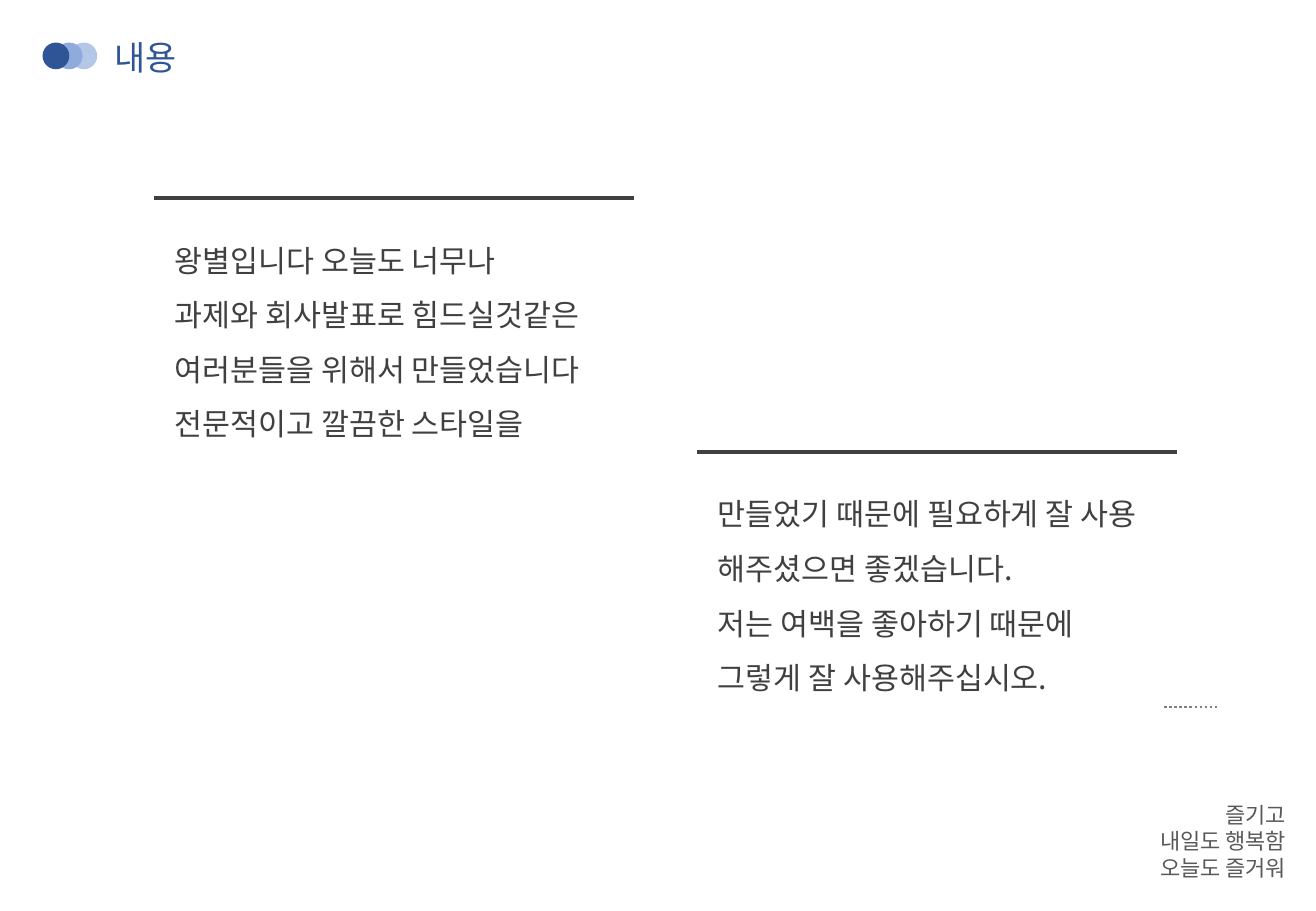
import pptx
import pptx.util
from pptx.dml.color import RGBColor
from pptx.enum.dml import MSO_LINE
from pptx.enum.shapes import MSO_CONNECTOR, MSO_SHAPE
from pptx.enum.text import MSO_ANCHOR, MSO_AUTO_SIZE, PP_ALIGN
from pptx.oxml.ns import qn

NAVY = RGBColor(0x2F, 0x55, 0x97)
BLUE = RGBColor(0x8F, 0xAA, 0xDC)
PALE = RGBColor(0xB4, 0xC7, 0xE7)
DARK = RGBColor(0x40, 0x40, 0x40)
MID = RGBColor(0x59, 0x59, 0x59)
GRAY = RGBColor(0x80, 0x80, 0x80)
FONT = "Noto Sans CJK KR"

TITLE = "내용"
CLOSING = ["즐기고", "내일도 행복함", "오늘도 즐거워"]
# left, top of the rule, lines below it
SECTIONS = [
    (127, 163, ["왕별입니다 오늘도 너무나",
                "과제와 회사발표로 힘드실것같은",
                "여러분들을 위해서 만들었습니다",
                "전문적이고 깔끔한 스타일을"]),
    (574, 372, ["만들었기 때문에 필요하게 잘 사용",
                "해주셨으면 좋겠습니다.",
                "저는 여백을 좋아하기 때문에",
                "그렇게 잘 사용해주십시오."]),
]
DOTS = [(58, PALE), (46, BLUE), (35, NAVY)]
DOT_TOP, DOT_SIZE = 35, 22
RULE_WIDTH = 395
TEXT_DX, TEXT_DY = 7, 16


def px(n):
    """Convert px, 100 to the inch, to EMU."""
    return pptx.util.Emu(n * 9144)


def fill_text(sp, lines, size, color, align=PP_ALIGN.LEFT, spacing=1.0):
    tf = sp.text_frame
    frame_format = {"word_wrap": True, "auto_size": MSO_AUTO_SIZE.SHAPE_TO_FIT_TEXT,
                    "vertical_anchor": MSO_ANCHOR.TOP}
    for name, value in frame_format.items():
        setattr(tf, name, value)
    for i, line in enumerate(lines):
        p = tf.add_paragraph() if i else tf.paragraphs[0]
        p.alignment, p.line_spacing = align, spacing
        r = p.add_run()
        r.text = line
        r.font.size, r.font.name = pptx.util.Pt(size), FONT
        r.font.color.rgb = color
        ea = r.font._element.makeelement(qn("a:ea"), {"typeface": FONT})
        r.font._element.find(qn("a:latin")).addnext(ea)


def add_rule(slide, left, top, width, color, weight):
    line = slide.shapes.add_connector(
        MSO_CONNECTOR.STRAIGHT, px(left), px(top), px(left + width), px(top))
    line.line.color.rgb = color
    line.line.width = pptx.util.Pt(weight)
    sp_pr = line._element.spPr
    sp_pr.append(sp_pr.makeelement(qn("a:effectLst"), {}))
    return line


def main():
    prs = pptx.Presentation()
    prs.slide_width, prs.slide_height = px(1083), px(750)
    slide = prs.slides.add_slide(prs.slide_layouts[5])

    for left, color in DOTS:
        sp = slide.shapes.add_shape(
            MSO_SHAPE.OVAL, px(left), px(DOT_TOP), px(DOT_SIZE), px(DOT_SIZE))
        sp.shadow.inherit = False
        sp.fill.solid()
        sp.fill.fore_color.rgb = color
        sp.line.fill.background()

    title = slide.shapes.title
    title_box = {"left": 84, "top": 25, "width": 524, "height": 44}
    for name, value in title_box.items():
        setattr(title, name, px(value))
    fill_text(title, [TITLE], 20, NAVY)

    closing = slide.shapes.add_textbox(px(910), px(655), px(158), px(76))
    fill_text(closing, CLOSING, 13, MID, PP_ALIGN.RIGHT)
    dotted = add_rule(slide, 958, 582, 44, GRAY, 1.5)
    dotted.line.dash_style = MSO_LINE.ROUND_DOT

    for left, top, lines in SECTIONS:
        add_rule(slide, left, top, RULE_WIDTH, DARK, 2.25)
        body = slide.shapes.add_textbox(
            px(left + TEXT_DX), px(top + TEXT_DY), px(396), px(192))
        fill_text(body, lines, 18, DARK, spacing=1.5)

    prs.save("out.pptx")


if __name__ == "__main__":
    main()
